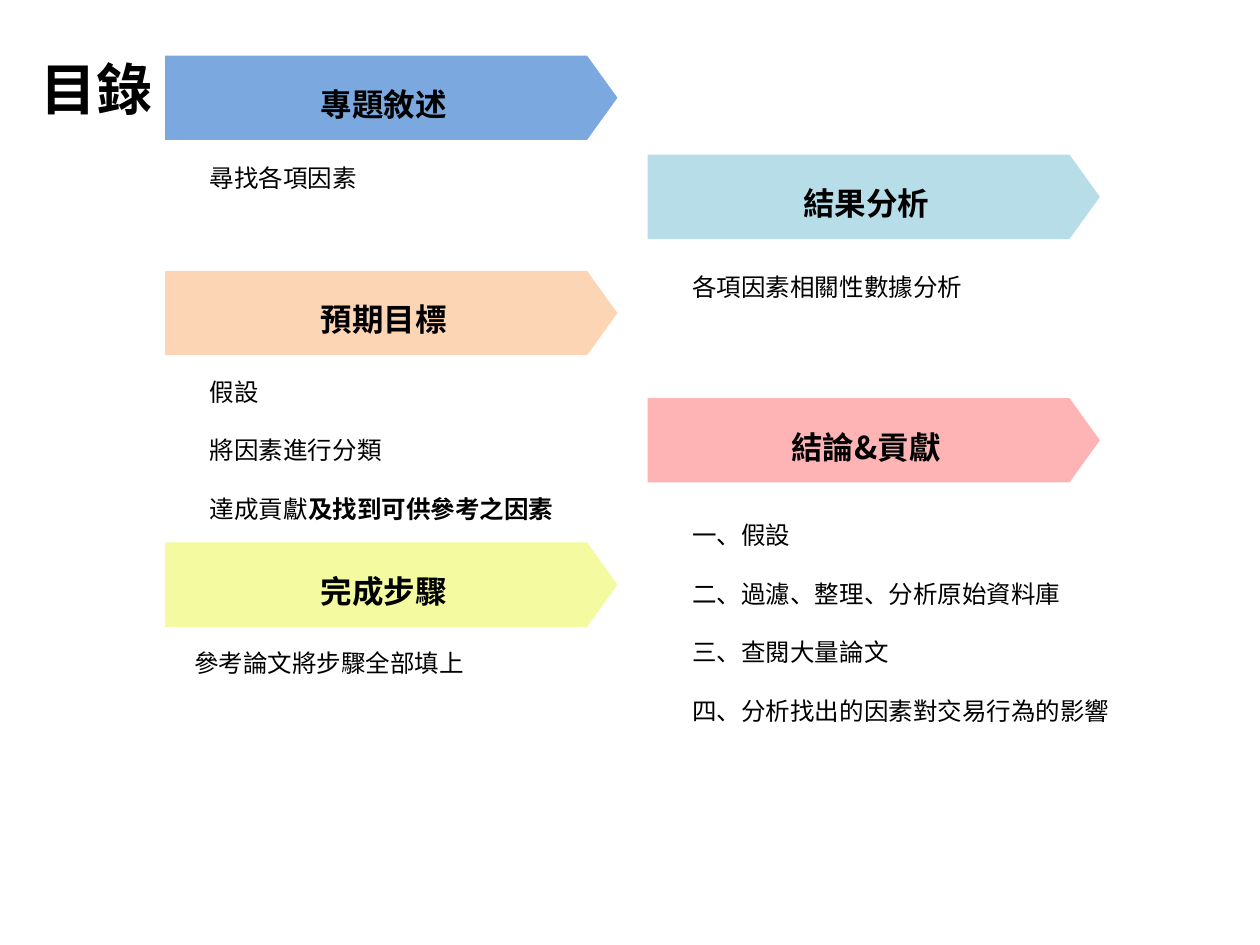
from pptx import Presentation
from pptx.dml.color import RGBColor
from pptx.enum.shapes import MSO_SHAPE
from pptx.enum.text import MSO_ANCHOR, PP_ALIGN
from pptx.oxml.ns import qn
from pptx.util import Pt
from lxml import etree

PENTAGON = MSO_SHAPE.PENTAGON
TOP, MIDDLE = MSO_ANCHOR.TOP, MSO_ANCHOR.MIDDLE
LEFT, CENTER = PP_ALIGN.LEFT, PP_ALIGN.CENTER

BLACK = RGBColor(0x00, 0x00, 0x00)
WHITE = RGBColor(0xFF, 0xFF, 0xFF)
BLUE = RGBColor(0x7B, 0xA8, 0xDF)
ORANGE = RGBColor(0xFC, 0xD5, 0xB5)
YELLOW = RGBColor(0xF4, 0xFA, 0xA0)
CYAN = RGBColor(0xB7, 0xDE, 0xE8)
PINK = RGBColor(0xFE, 0xB4, 0xB4)

FONT = "Noto Sans CJK SC"
TITLE = "目錄"
LEFT_COLUMN, RIGHT_COLUMN = 94.3, 370
BANNER_WIDTH, BANNER_HEIGHT = 258.5, 48.2
TITLE_SIZE, BANNER_SIZE, POINT_SIZE = 32, 18, 14
POINT_PITCH = 33.6

SECTIONS = [
    dict(heading="專題敘述", color=BLUE, left=LEFT_COLUMN, top=31.8,
         indent=18.5, points_top=88.6, points_width=99.4,
         points=["尋找各項因素"]),
    dict(heading="預期目標", color=ORANGE, left=LEFT_COLUMN, top=154.8,
         indent=18.5, points_top=210.6, points_width=212.4,
         points=["假設", "將因素進行分類",
                 ("達成貢獻", "及找到可供參考之因素")]),
    dict(heading="完成步驟", color=YELLOW, left=LEFT_COLUMN, top=310,
         indent=9.5, points_top=365.8, points_width=170,
         points=["參考論文將步驟全部填上"]),
    dict(heading="結果分析", color=CYAN, left=RIGHT_COLUMN, top=88.4,
         indent=18.5, points_top=151, points_width=170,
         points=["各項因素相關性數據分析"]),
    dict(heading="結論&貢獻", color=PINK, left=RIGHT_COLUMN, top=227.5,
         indent=18.5, points_top=292.4, points_width=255,
         points=["一、假設", "二、過濾、整理、分析原始資料庫",
                 "三、查閱大量論文", "四、分析找出的因素對交易行為的影響"]),
]


def write(frame, lines, size, bold=False, align=LEFT, anchor=TOP,
          wrap=False, leading=1.28, pitch=0):
    frame.word_wrap = wrap
    frame.vertical_anchor = anchor
    frame.margin_left = frame.margin_right = Pt(7.2)
    frame.margin_top = frame.margin_bottom = Pt(3.6)
    for index, line in enumerate(lines):
        paragraph = frame.paragraphs[0] if index == 0 else frame.add_paragraph()
        paragraph.alignment = align
        paragraph.line_spacing = Pt(size * leading)
        paragraph.space_before = Pt(0)
        last = index == len(lines) - 1
        paragraph.space_after = Pt(0 if last else pitch - size * leading)
        parts = (line,) if isinstance(line, str) else line
        for position, part in enumerate(parts):
            run = paragraph.add_run()
            run.text = part
            run.font.name = FONT
            run.font.size = Pt(size)
            run.font.bold = bold or position > 0
            run.font.color.rgb = BLACK
            east_asian = etree.SubElement(run.font._element, qn("a:ea"))
            east_asian.set("typeface", FONT)


presentation = Presentation()
presentation.slide_width, presentation.slide_height = Pt(720), Pt(540)
slide = presentation.slides.add_slide(presentation.slide_layouts[5])

title = slide.shapes.title
title.left, title.top, title.width, title.height = Pt(15.8), Pt(25.2), Pt(78.5), Pt(46)
title.fill.solid()
title.fill.fore_color.rgb = WHITE
write(title.text_frame, [TITLE], TITLE_SIZE, bold=True)

for section in SECTIONS:
    banner = slide.shapes.add_shape(
        PENTAGON, Pt(section["left"]), Pt(section["top"]),
        Pt(BANNER_WIDTH), Pt(BANNER_HEIGHT))
    banner.adjustments[0] = 0.36
    banner.shadow.inherit = False
    banner.fill.solid()
    banner.fill.fore_color.rgb = section["color"]
    banner.line.fill.background()
    write(banner.text_frame, [section["heading"]], BANNER_SIZE, bold=True,
          align=CENTER, anchor=MIDDLE, wrap=True, leading=1.6)

    points = section["points"]
    points_height = 24.5 + POINT_PITCH * (len(points) - 1)
    details = slide.shapes.add_textbox(
        Pt(section["left"] + section["indent"]), Pt(section["points_top"]),
        Pt(section["points_width"]), Pt(points_height))
    write(details.text_frame, points, POINT_SIZE, pitch=POINT_PITCH)

presentation.save("out.pptx")
